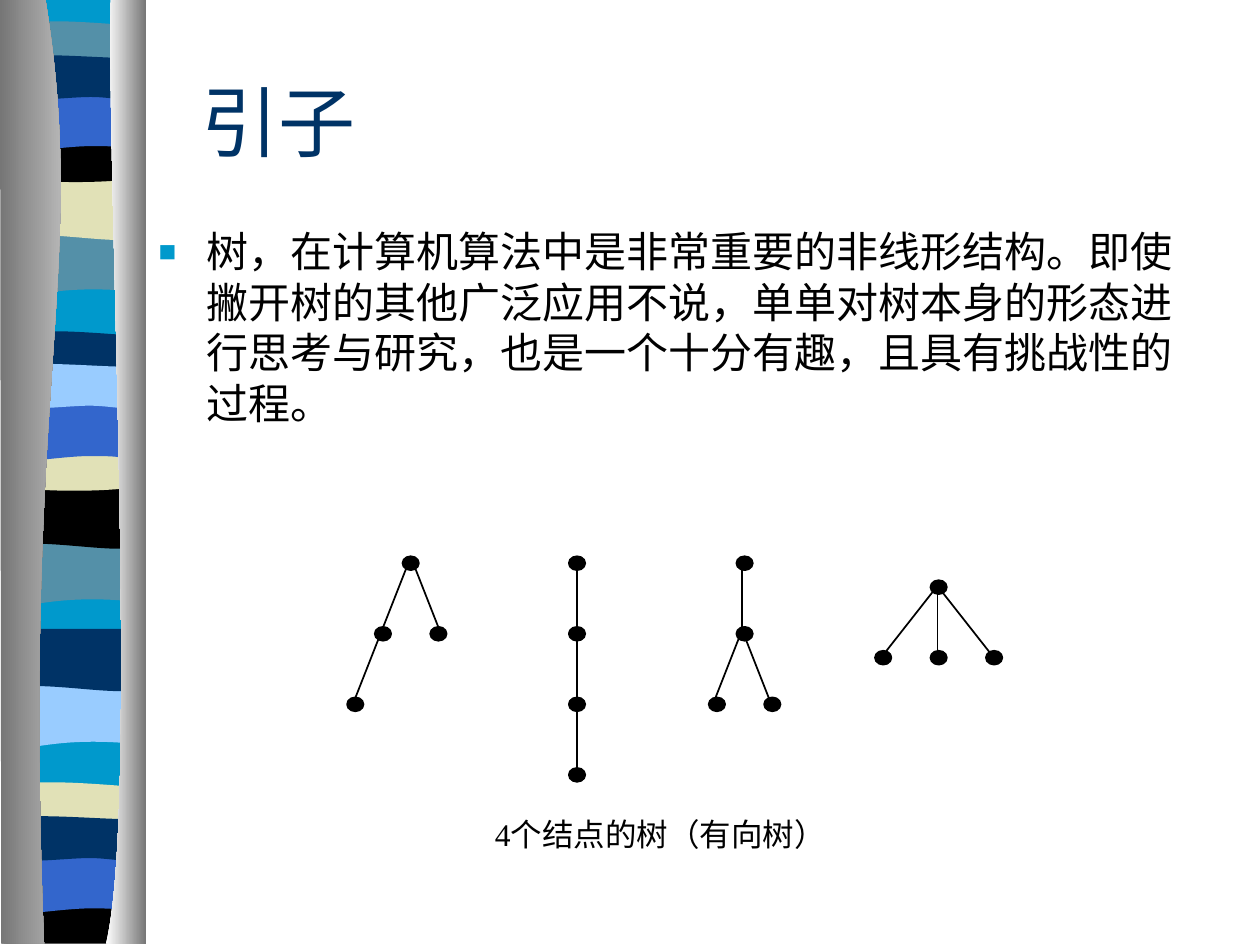
from dataclasses import dataclass
from typing import NamedTuple

import lxml.etree
import pptx
import pptx.dml.color
import pptx.enum.shapes
import pptx.enum.text
import pptx.oxml.ns
import pptx.util

Inches = pptx.util.Inches
Pt = pptx.util.Pt
RGB = pptx.dml.color.RGBColor.from_string
qn = pptx.oxml.ns.qn
ALIGN = pptx.enum.text.PP_ALIGN
ANCHOR = pptx.enum.text.MSO_ANCHOR
SHAPE = pptx.enum.shapes.MSO_SHAPE


@dataclass(frozen=True)
class Theme:
    ink: str = "000000"
    paper: str = "FFFFFF"
    navy: str = "003366"
    cyan: str = "0099CC"
    teal: str = "5490A8"
    cream: str = "E1E1B7"
    blue: str = "3366CC"
    sky: str = "99CCFF"
    grey: str = "767676"
    silver: str = "D3D3D3"
    latin: str = "Times New Roman"
    chinese: str = "Noto Sans CJK SC"
    title_size: int = 44
    body_size: int = 24
    caption_size: int = 18


class Band(NamedTuple):
    profile: tuple
    left: float
    top: float
    color: str


class Tree(NamedTuple):
    root: tuple      # centre of the root node
    nodes: tuple     # (column, level) steps away from the root
    edges: tuple     # pairs of node indexes
    shift: tuple     # offset of edge ends from node centres


THEME = Theme()
COLUMN, LEVEL = 0.22, 0.56
DOT_W, DOT_H = 0.13, 0.11

# Outlines: a start point, then lines (one point) or cubic curves (three points)
SWELL = ((1.08, 0), [(1.08, .47)], [(.33, .39), (.18, .55), (0, .47)], [(0, 0)])
WAVE = ((1.08, 0), [(1.08, .47)], [(.9, .55), (.33, .41), (0, .47)], [(0, 0)])
THIN = ((1.08, .05), [(1.08, .29)], [(.9, .33), (.18, .33), (0, .29)], [(0, .05)],
        [(.06, 0), (.23, .01), (.41, .01)], [(.59, .01), (.94, .04), (1.08, .05)])
SAG = ((1.08, 0), [(1.08, .32)], [(.9, .38), (.18, .38), (0, .32)], [(0, 0)],
       [(.66, .05), (.85, 0), (1.08, 0)])
FLOOR = ((1.08, 0), [(1.08, .37)], [(0, .37)], [(0, 0)], [(.66, .05), (.85, 0), (1.08, 0)])
ARCH = ((1.08, 0), [(1.08, .47)], [(.91, .42), (.84, .42), (.66, .42)],
        [(.48, .42), (.16, .47), (0, .47)], [(0, 0)])
RIPPLE = ((1.08, .05), [(1.08, .36)], [(1.01, .41), (.84, .36), (.66, .36)],
          [(.48, .36), (.11, .41), (0, .36)], [(0, .05)],
          [(.15, 0), (.73, .05), (.91, .05)], [(1.09, .05), (1.04, .05), (1.08, .05)])
BACKING = ((1.08, 0), [(1.08, 7.48)], [(0, 7.48)], [(0, 0)])
LEFT_EDGE = ((.36, 0), [(.71, 2.17), (.17, 2.97), (.35, 7.5)], [(.01, 7.5)], [(0, 0)])
RIGHT_EDGE = ((.88, 0), [(.84, 1.26), (1.11, 6.47), (.84, 7.5)], [(1.16, 7.5)], [(1.16, 0)])

BANDS = (
    Band(BACKING, .06, -.01, THEME.cyan),
    Band(SWELL, .06, 1.85, THEME.teal),
    Band(WAVE, .06, 1.41, THEME.cream),
    Band(THIN, .06, .16, THEME.teal),
    Band(SAG, .06, 1.08, THEME.ink),
    Band(ARCH, .06, .74, THEME.blue),
    Band(RIPPLE, .06, .41, THEME.navy),
    Band(SWELL, .05, 4.31, THEME.teal),
    Band(WAVE, .05, 3.86, THEME.ink),
    Band(THIN, .05, 2.62, THEME.navy),
    Band(SAG, .05, 3.53, THEME.cream),
    Band(ARCH, .05, 3.2, THEME.blue),
    Band(RIPPLE, .05, 2.86, THEME.sky),
    Band(SWELL, .06, 5.44, THEME.sky),
    Band(WAVE, .06, 4.99, THEME.navy),
    Band(THIN, .05, 6.2, THEME.cream),
    Band(FLOOR, .05, 7.12, THEME.ink),
    Band(ARCH, .05, 6.79, THEME.blue),
    Band(RIPPLE, .05, 6.45, THEME.navy),
)

TREES = (
    Tree((5.91, 4.47), ((0, 0), (0, 1), (-1, 2), (1, 2)),
         ((0, 1), (1, 2), (1, 3)), (-.02, -.03)),
    Tree((3.26, 4.47), ((0, 0), (-1, 1), (1, 1), (-2, 2)),
         ((0, 1), (0, 2), (1, 3)), (0, -.05)),
    Tree((4.58, 4.47), ((0, 0), (0, 1), (0, 2), (0, 3)), ((0, 3),), (0, -.05)),
    Tree((7.45, 4.66), ((0, 0), (-2, 1), (0, 1), (2, 1)),
         ((0, 1), (0, 2), (0, 3)), (-.01, -.01)),
)


def draw_outline(group, profile: tuple, left: float, top: float):
    start, *segments = profile
    points = [start] + [point for segment in segments for point in segment]
    first, *rest = [(Inches(left + x), Inches(top + y)) for x, y in points]
    builder = group.shapes.build_freeform(*first, scale=1.0)
    builder.add_line_segments(rest, close=True)
    outline = builder.convert_to_shape()
    outline.shadow.inherit = False
    outline.line.fill.background()
    # Merge each run of three control points into one cubic curve
    lines = iter(outline._element.findall(".//" + qn("a:lnTo")))
    for segment in segments:
        steps = [next(lines) for _ in segment]
        if len(steps) == 3:
            curve = lxml.etree.Element(qn("a:cubicBezTo"))
            steps[0].addprevious(curve)
            for step in steps:
                curve.append(step[0])
                step.getparent().remove(step)
    return outline


def draw_band(group, band: Band) -> None:
    stripe = draw_outline(group, band.profile, band.left, band.top)
    stripe.fill.solid()
    stripe.fill.fore_color.rgb = RGB(band.color)


def draw_edge(group, profile: tuple, colors: tuple) -> None:
    edge = draw_outline(group, profile, 0, -.01)
    edge.fill.gradient()
    edge.fill.gradient_angle = 0
    for stop, color in zip(edge.fill.gradient_stops, colors):
        stop.color.rgb = RGB(color)


def draw_tree(group, tree: Tree) -> None:
    centres = [(tree.root[0] + column * COLUMN, tree.root[1] + level * LEVEL)
               for column, level in tree.nodes]
    dx, dy = tree.shift
    for parent, child in tree.edges:
        ends = [Inches(v) for x, y in (centres[parent], centres[child])
                for v in (x + dx, y + dy)]
        edge = group.shapes.add_connector(pptx.enum.shapes.MSO_CONNECTOR.STRAIGHT, *ends)
        edge.line.color.rgb = RGB(THEME.ink)
        edge.line.width = Pt(1)
        lxml.etree.SubElement(edge._element.spPr, qn("a:effectLst"))
    for x, y in centres:
        node = group.shapes.add_shape(SHAPE.OVAL, Inches(x - DOT_W / 2), Inches(y - DOT_H / 2),
                                      Inches(DOT_W), Inches(DOT_H))
        node.shadow.inherit = False
        node.fill.solid()
        node.fill.fore_color.rgb = RGB(THEME.ink)
        node.line.color.rgb = RGB(THEME.ink)
        node.line.width = Pt(1)


def write_text(holder, text: str, *, size: int, color: str, latin: str, box=None,
               align=ALIGN.LEFT, anchor=ANCHOR.TOP, line_pitch=None):
    """Fill a shape with one formatted paragraph and return that paragraph."""
    if box:
        holder.left, holder.top, holder.width, holder.height = (Inches(v) for v in box)
    frame = holder.text_frame
    frame.word_wrap = True
    frame.auto_size = pptx.enum.text.MSO_AUTO_SIZE.NONE
    frame.vertical_anchor = anchor
    paragraph = frame.paragraphs[0]
    paragraph.alignment = align
    paragraph.space_before = Pt(0)
    if line_pitch:
        paragraph.line_spacing = Pt(line_pitch)
    run = paragraph.add_run()
    run.text = text
    run.font.size = Pt(size)
    run.font.color.rgb = RGB(color)
    run.font.name = latin
    east_asian = lxml.etree.Element(qn("a:ea"), typeface=THEME.chinese)
    run.font._element.find(qn("a:latin")).addnext(east_asian)
    return paragraph


def add_bullet(paragraph, mark: str, color: str, percent: int, indent: float) -> None:
    properties = paragraph._p.get_or_add_pPr()
    properties.set("marL", str(Inches(indent)))
    properties.set("indent", str(-Inches(indent)))
    bullet_color = lxml.etree.SubElement(properties, qn("a:buClr"))
    lxml.etree.SubElement(bullet_color, qn("a:srgbClr"), val=color)
    lxml.etree.SubElement(properties, qn("a:buSzPct"), val=str(percent * 1000))
    lxml.etree.SubElement(properties, qn("a:buChar"), char=mark)


def main() -> None:
    deck = pptx.Presentation()
    deck.slide_width, deck.slide_height = Inches(10), Inches(7.5)
    slide = deck.slides.add_slide(deck.slide_layouts[1])

    # Striped ribbon between two shaded edges, moved to the back of the master
    ribbon = slide.shapes.add_group_shape()
    for band in BANDS:
        draw_band(ribbon, band)
    draw_edge(ribbon, LEFT_EDGE, (THEME.grey, THEME.silver))
    draw_edge(ribbon, RIGHT_EDGE, (THEME.paper, THEME.grey))
    for number, label in enumerate(ribbon._element.iter(qn("p:cNvPr")), start=100):
        label.set("id", str(number))
    deck.slide_master.shapes._spTree.insert(2, ribbon._element)

    # Introduction and title
    introduction = write_text(
        slide.placeholders[1],
        "树，在计算机算法中是非常重要的非线形结构。即使撇开树的其他广泛应用不说，"
        "单单对树本身的形态进行思考与研究，也是一个十分有趣，且具有挑战性的过程。",
        box=(1.16, 1.74, 8.5, 1.83), size=THEME.body_size, color=THEME.ink,
        latin=THEME.chinese, line_pitch=28.9)
    add_bullet(introduction, "■", THEME.cyan, 70, .38)
    write_text(slide.shapes.title, "引子", box=(1.5, .33, 1.5, 1.25), size=THEME.title_size,
               color=THEME.navy, latin=THEME.latin, anchor=ANCHOR.MIDDLE)

    # The four trees and their caption
    figure = slide.shapes.add_group_shape()
    for tree in TREES:
        draw_tree(figure, tree)
    caption = figure.shapes.add_shape(SHAPE.RECTANGLE, Inches(3.83), Inches(6.42),
                                      Inches(2.92), Inches(.47))
    caption.shadow.inherit = False
    caption.fill.solid()
    caption.fill.fore_color.rgb = RGB(THEME.paper)
    caption.line.fill.background()
    write_text(caption, "4个结点的树（有向树）", size=THEME.caption_size, color=THEME.ink,
               latin=THEME.latin, align=ALIGN.JUSTIFY)

    deck.save("out.pptx")


if __name__ == "__main__":
    main()
